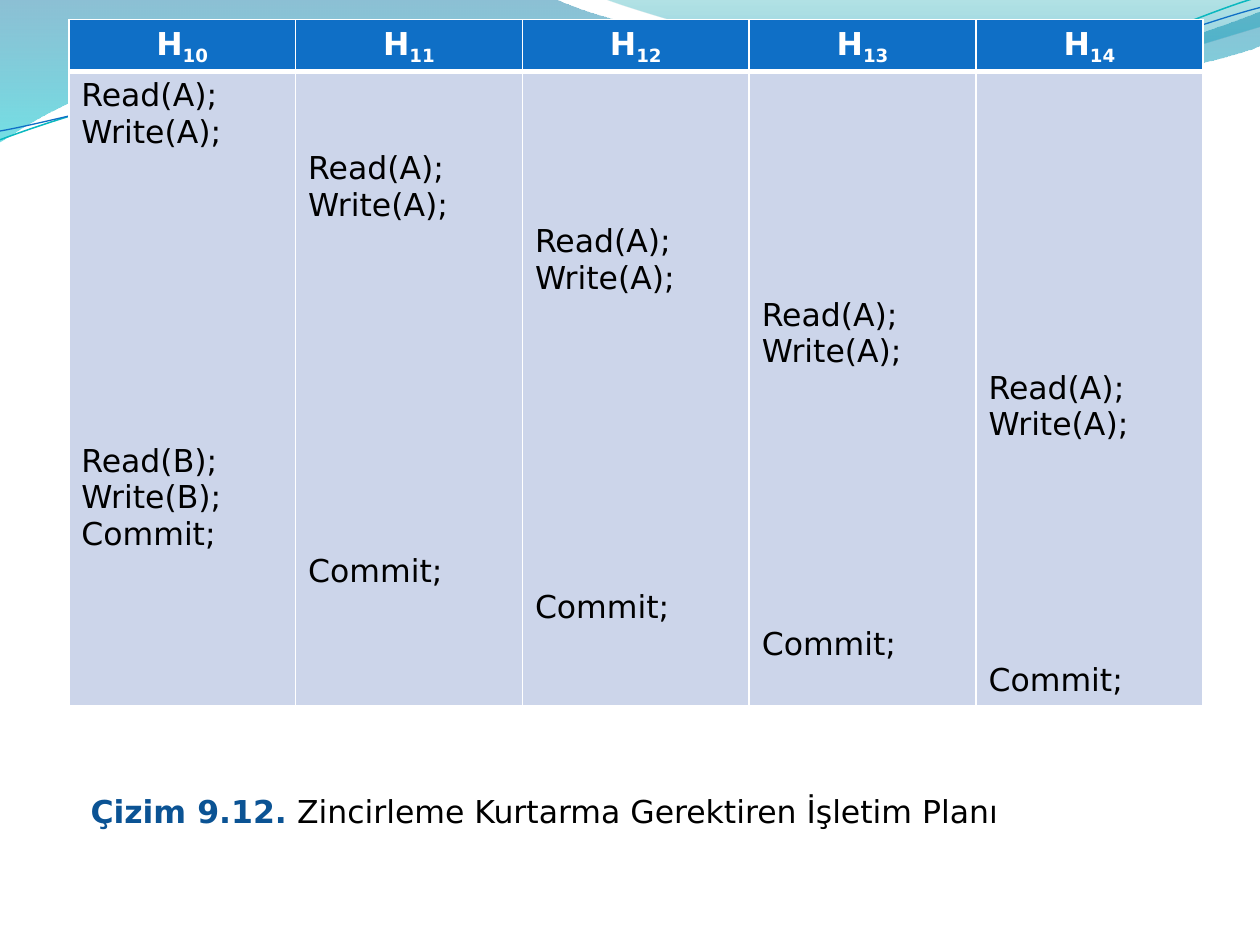
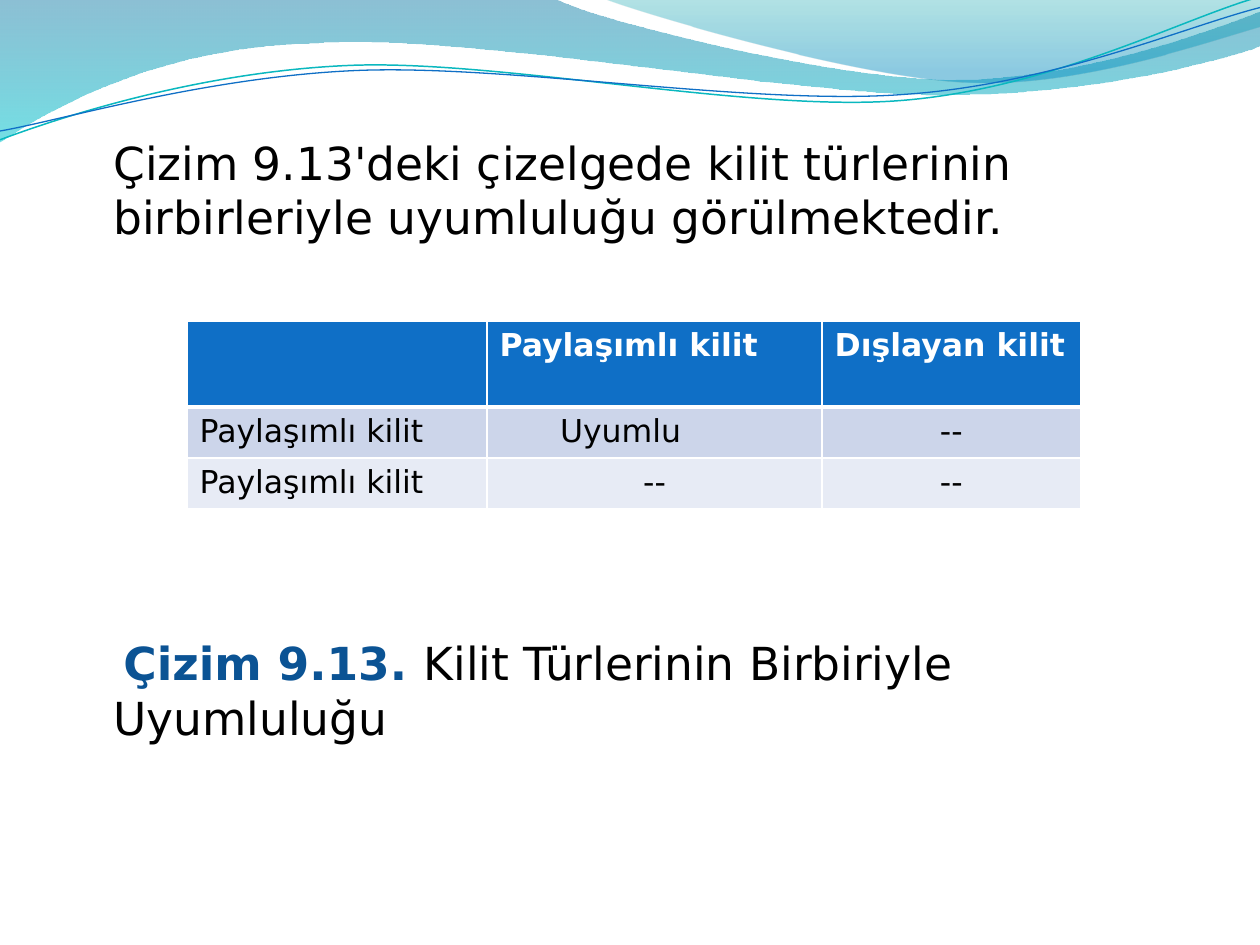
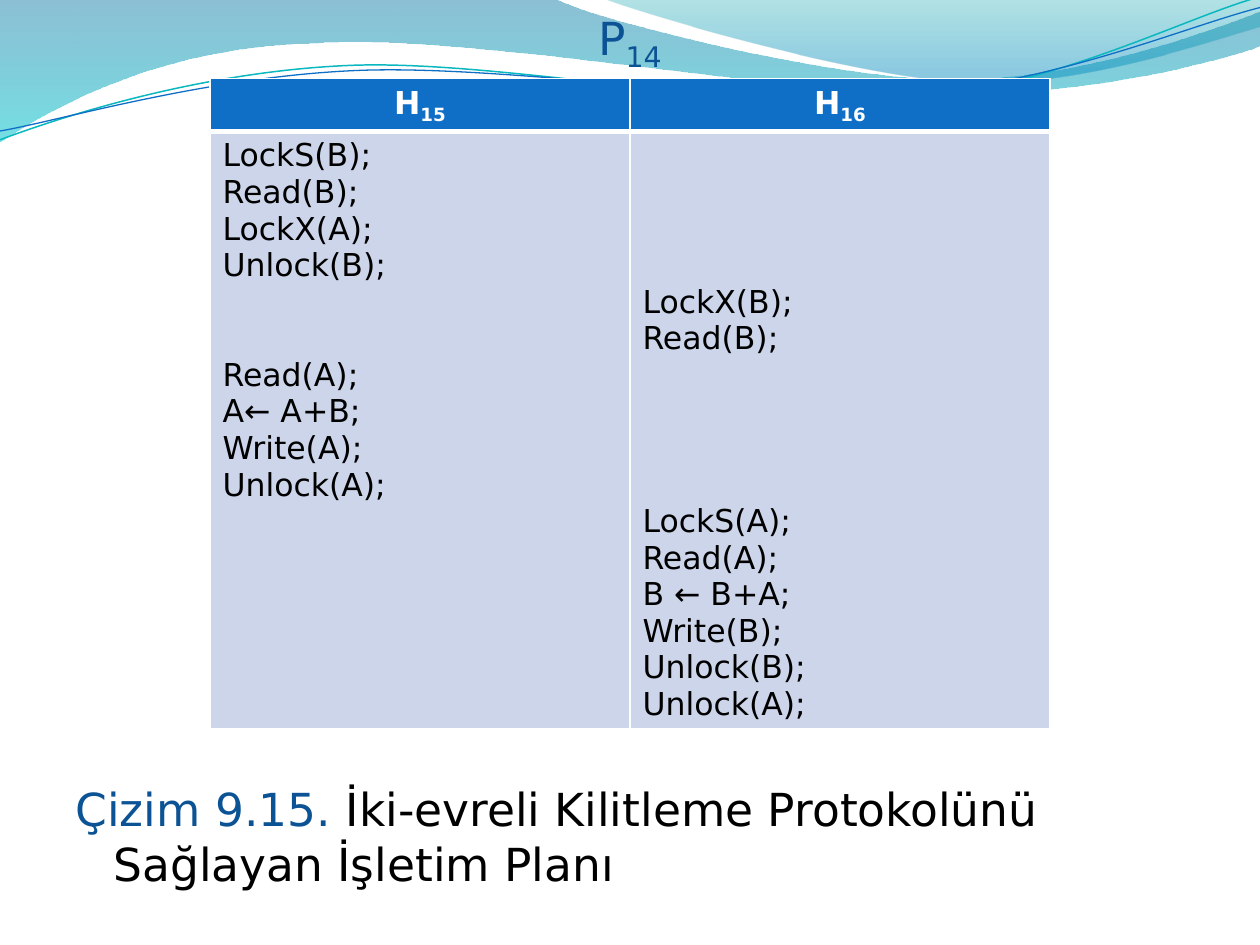
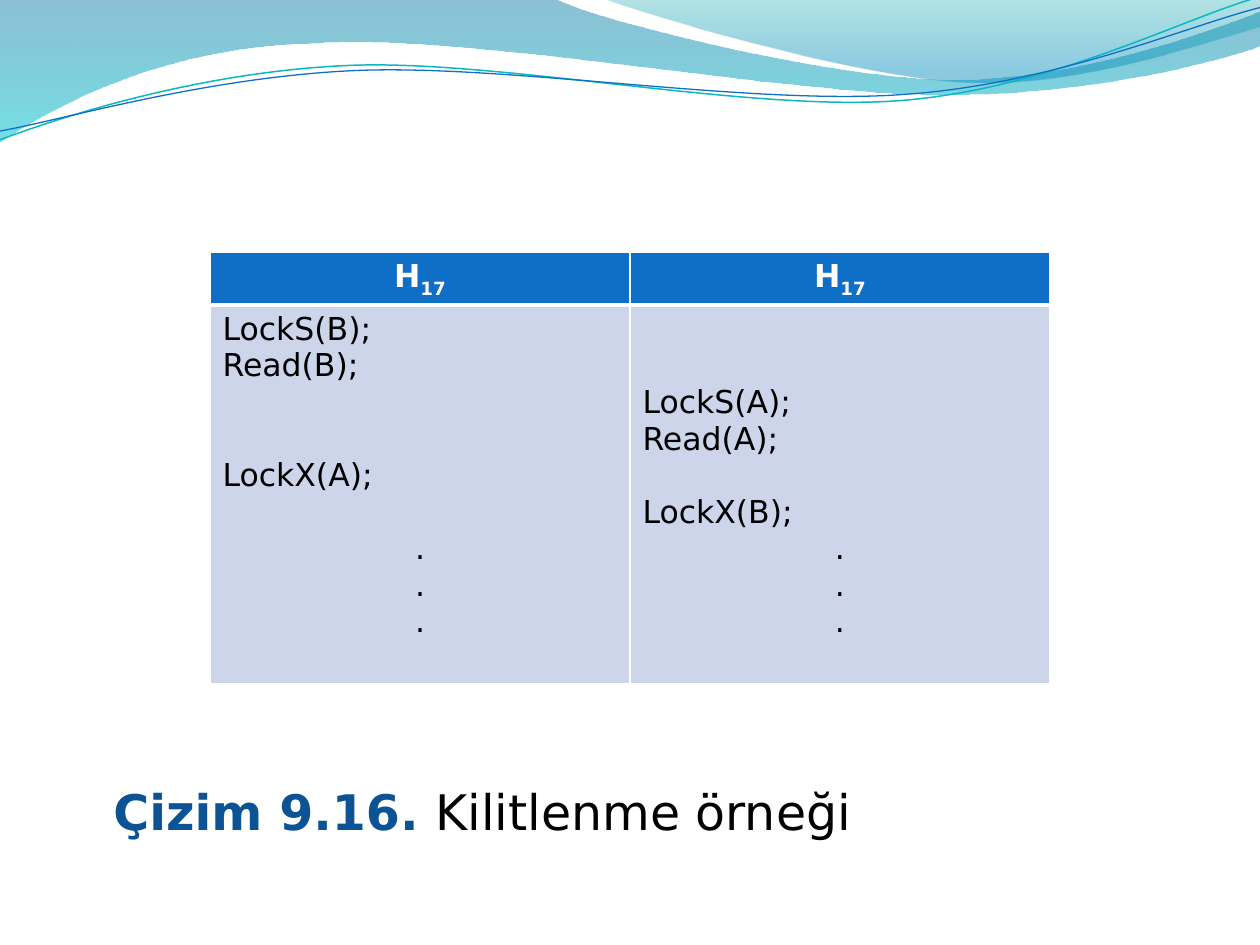
from pptx import Presentation
from pptx.dml.color import RGBColor
from pptx.enum.text import MSO_ANCHOR, MSO_AUTO_SIZE, PP_ALIGN
from pptx.oxml.ns import qn
from pptx.util import Inches, Pt
from lxml.etree import SubElement

THEME = dict(
    font="DejaVu Sans", white="FFFFFF", black="000000", head="0F6FC6",
    bands=("CCD5EA", "E7EBF5"), label="0B5394",
    small=18, text=26, large=28, pitch=20.9)

deck = Presentation()
deck.slide_width, deck.slide_height = Inches(10), Inches(7.5)
col, row = deck.slide_width / 100, deck.slide_height / 75
PLAIN, FULL = deck.slide_layouts[6], deck.slide_layouts[1]


def write(para, runs, **form):
    """Fill a paragraph with (text, size, colour, bold, lowered) runs."""
    for key, val in form.items():
        setattr(para, key, val)
    for text, size, tint, bold, low in runs:
        run = para.add_run()
        run.text = text
        looks = dict(name=THEME["font"], size=Pt(size), bold=bold)
        for key, val in looks.items():
            setattr(run.font, key, val)
        run.font.color.rgb = RGBColor.from_string(tint)
        if low:
            run._r.get_or_add_rPr().set("baseline", "-25000")


def table(slide, place, cols, rows):
    """Add a table with a blue head, pale rows and white rules."""
    left, top = place
    grid = slide.shapes.add_table(
        len(rows), len(cols), int(left * col), int(top * row),
        int(sum(cols) * col), int(sum(rows) * row)).table
    for part, size in zip(grid.columns, cols):
        part.width = int(size * col)
    for part, size in zip(grid.rows, rows):
        part.height = int(size * row)
    for r in range(len(rows)):
        for c in range(len(cols)):
            cell = grid.cell(r, c)
            tint = THEME["bands"][(r - 1) % 2] if r else THEME["head"]
            props = cell._tc.get_or_add_tcPr()
            for side in ("L", "R", "T", "B"):
                thick = 3 if (r, side) in ((0, "B"), (1, "T")) else 1
                rule = SubElement(props, qn("a:ln" + side), w=str(Pt(thick)))
                paint = SubElement(rule, qn("a:solidFill"))
                SubElement(paint, qn("a:srgbClr"), val=THEME["white"])
            cell.fill.solid()
            cell.fill.fore_color.rgb = RGBColor.from_string(tint)
    return grid


# Waves on the master: a start, then straight (2) or curved (6) steps
waves = [
    dict(start=(0, 0), fill=((0, "0074A1", 45), (1, "00C6CF", 55)), steps=[
        (4.4, -.01), (4.76, .17, 6.64, .63, 7.58, .63),
        (8.53, .63, 9.58, .26, 10, .09), (10.01, .36),
        (9.83, .44, 8.7, .76, 7.46, .75), (6.22, .75, 3.82, .28, 2.57, .34),
        (1.29, .36, .46, .83, -.01, 1.13)]),
    dict(start=(4.79, -.01), fill=((0, "00A1A9", 30), (.8, "008BBF", 45)),
         steps=[(5.09, .11, 6.82, .62, 7.69, .65),
                (8.56, .69, 9.61, .32, 10, .21), (10, 0)]),
    dict(start=(0, 1.11), line=("0AB8BF", .85), steps=[
        (.48, .93, 1.58, .57, 2.77, .52), (3.95, .47, 5.93, .89, 7.13, .8),
        (8.33, .71, 9.38, .15, 9.98, -.02)]),
    dict(start=(0, 1.04), line=("0F6FC6", .75), steps=[
        (.47, .96, 1.64, .61, 2.83, .56), (4.03, .51, 5.97, .84, 7.17, .75),
        (8.36, .67, 9.41, .21, 10, .06)]),
]
plan = deck.slides.add_slide(PLAIN)
for n, wave in enumerate(waves):
    spots = [(Inches(x), Inches(y)) for step in [wave["start"], *wave["steps"]]
             for x, y in zip(step[::2], step[1::2])]
    pen = plan.shapes.build_freeform(*spots[0])
    pen.add_line_segments(spots[1:], close="fill" in wave)
    shape = pen.convert_to_shape()
    shape.shadow.inherit = False
    # Join each three points of a curved step into one curve
    marks = iter(list(shape._element.iter(qn("a:lnTo"))))
    for step in wave["steps"]:
        mark = next(marks)
        if len(step) == 6:
            curve = mark.makeelement(qn("a:cubicBezTo"))
            mark.addprevious(curve)
            for part in (mark, next(marks), next(marks)):
                curve.append(part[0])
                part.getparent().remove(part)
    if "fill" in wave:
        shape.line.fill.background()
        shape.fill.gradient()
        shape.fill.gradient_angle = 270
        for stop, (spot, tint, _) in zip(shape.fill.gradient_stops,
                                         wave["fill"]):
            stop.position = spot
            stop.color.rgb = RGBColor.from_string(tint)
        for mark, (_, _, part) in zip(
                shape._element.iter(qn("a:srgbClr")), wave["fill"]):
            SubElement(mark, qn("a:alpha"), val=str(part * 1000))
    else:
        tint, thick = wave["line"]
        shape.fill.background()
        shape.line.color.rgb = RGBColor.from_string(tint)
        shape.line.width = Pt(thick)
    shape._element.nvSpPr.cNvPr.set("id", str(100 + n))
    deck.slide_master.shapes._spTree.insert(2 + n, shape._element)

small, text, large = THEME["small"], THEME["text"], THEME["large"]
black, white, label = THEME["black"], THEME["white"], THEME["label"]

# Text slides: frame, top inset, then (runs, gap, first indent, alignment)
left = PP_ALIGN.LEFT
pages = [
    ((5, 10.2, 90, 59), .05, [
        ([("Çizim 9.13'deki çizelgede kilit türlerinin birbirleriyle "
           "uyumluluğu görülmektedir.", text, black, False, False)],
         0, 0, left),
        ([("Çizim 9.13. ", text, label, True, False),
          ("Kilit Türlerinin Birbiriyle Uyumluluğu", text, black, False,
           False)], 223.5, .08, left)]),
    ((5, 0, 90, 72.7), .05, [
        ([("P", text, label, False, False), ("14", large, label, False, True)],
         0, -.3, PP_ALIGN.CENTER),
        ([("Çizim 9.15. ", text, label, False, False),
          ("İki-evreli Kilitleme Protokolünü Sağlayan İşletim Planı",
           text, black, False, False)], 404.5, -.3, left)]),
    ((5, 21.2, 90, 48), 4.08, [
        ([("Çizim 9.16. ", large, label, True, False),
          ("Kilitlenme örneği", large, black, False, False)], 0, 0, left)]),
]
slides = [plan]
for (x, y, w, h), inset, paras in pages:
    slide = deck.slides.add_slide(FULL)
    slides.append(slide)
    title = slide.shapes.title._element
    title.getparent().remove(title)
    body = slide.placeholders[1]
    spot = dict(left=x * col, top=y * row, width=w * col, height=h * row)
    for key, val in spot.items():
        setattr(body, key, int(val))
    frame = body.text_frame
    form = dict(auto_size=MSO_AUTO_SIZE.NONE, word_wrap=True,
                vertical_anchor=MSO_ANCHOR.TOP, margin_top=Inches(inset))
    for key, val in form.items():
        setattr(frame, key, val)
    for n, (runs, gap, first, align) in enumerate(paras):
        para = frame.add_paragraph() if n else frame.paragraphs[0]
        write(para, runs, alignment=align, space_before=Pt(gap))
        props = para._p.get_or_add_pPr()
        props.set("marL", str(Inches(.3)))
        props.set("indent", str(Inches(first)))
        SubElement(props, qn("a:buNone"))

# Caption of the first schedule
box = plan.shapes.add_textbox(int(6.2 * col), int(62.4 * row),
                              int(89.1 * col), int(7.1 * row))
box.text_frame.word_wrap = True
write(box.text_frame.paragraphs[0], [
    ("Çizim 9.12.", small, label, True, False),
    (" Zincirleme Kurtarma Gerektiren İşletim Planı", small, black, False,
     False)])

# Schedules: each column maps a time step to an operation
chain = [{2 * n: "Read(A);", 2 * n + 1: "Write(A);", 12 + n: "Commit;"}
         for n in range(5)]
chain[0].update({10: "Read(B);", 11: "Write(B);"})
dots = {n: "." for n in (6, 7, 8)}
phases = [
    {0: "LockS(B);", 1: "Read(B);", 2: "LockX(A);", 3: "Unlock(B);",
     6: "Read(A);", 7: "A← A+B;", 8: "Write(A);", 9: "Unlock(A);"},
    {4: "LockX(B);", 5: "Read(B);", 10: "LockS(A);", 11: "Read(A);",
     12: "B ← B+A;", 13: "Write(B);", 14: "Unlock(B);", 15: "Unlock(A);"}]
locks = [{0: "LockS(B);", 1: "Read(B);", 4: "LockX(A);", **dots},
         {2: "LockS(A);", 3: "Read(A);", 5: "LockX(B);", **dots}]
plans = [
    (slides[0], (5.46, 1.55), 18, (4.1, 50.4), range(10, 15), chain),
    (slides[2], (16.67, 6.24), 33.33, (4.2, 47.4), (15, 16), phases),
    (slides[3], (16.67, 20), 33.33, (4.2, 30.05), (17, 17), locks),
]
for slide, place, wide, tall, names, lists in plans:
    grid = table(slide, place, [wide] * len(lists), tall)
    for c, (name, steps) in enumerate(zip(names, lists)):
        head, cell = grid.cell(0, c), grid.cell(1, c)
        head.margin_bottom = cell.margin_bottom = 0
        write(head.text_frame.paragraphs[0],
              [("H", small, white, True, False),
               (str(name), small, white, True, True)],
              alignment=PP_ALIGN.CENTER)
        last = None
        for step in sorted(steps):
            if last is None:
                para, gap = cell.text_frame.paragraphs[0], 0
                cell.margin_top = Inches(.05) + Pt(step * THEME["pitch"])
            else:
                para, gap = cell.text_frame.add_paragraph(), step - last - 1
            last = step
            write(para, [(steps[step], small, black, False, False)],
                  space_before=Pt(gap * THEME["pitch"]),
                  alignment=PP_ALIGN.CENTER if steps[step] == "." else left)

# Lock compatibility
share = "Paylaşımlı kilit"
words = [("", share, "Dışlayan kilit"), (share, "Uyumlu", "--"),
         (share, "--", "--")]
grid = table(slides[1], (14.85, 25.5), (23.8, 26.6, 20.5), (6.8, 4.05, 4.05))
for r, line in enumerate(words):
    for c, word in enumerate(line):
        if not word:
            continue
        cell = grid.cell(r, c)
        if word == "Uyumlu":
            cell.margin_left = Inches(.58)
        write(cell.text_frame.paragraphs[0],
              [(word, small, black if r else white, not r, False)],
              alignment=PP_ALIGN.CENTER if word == "--" else left)

deck.save("out.pptx")
